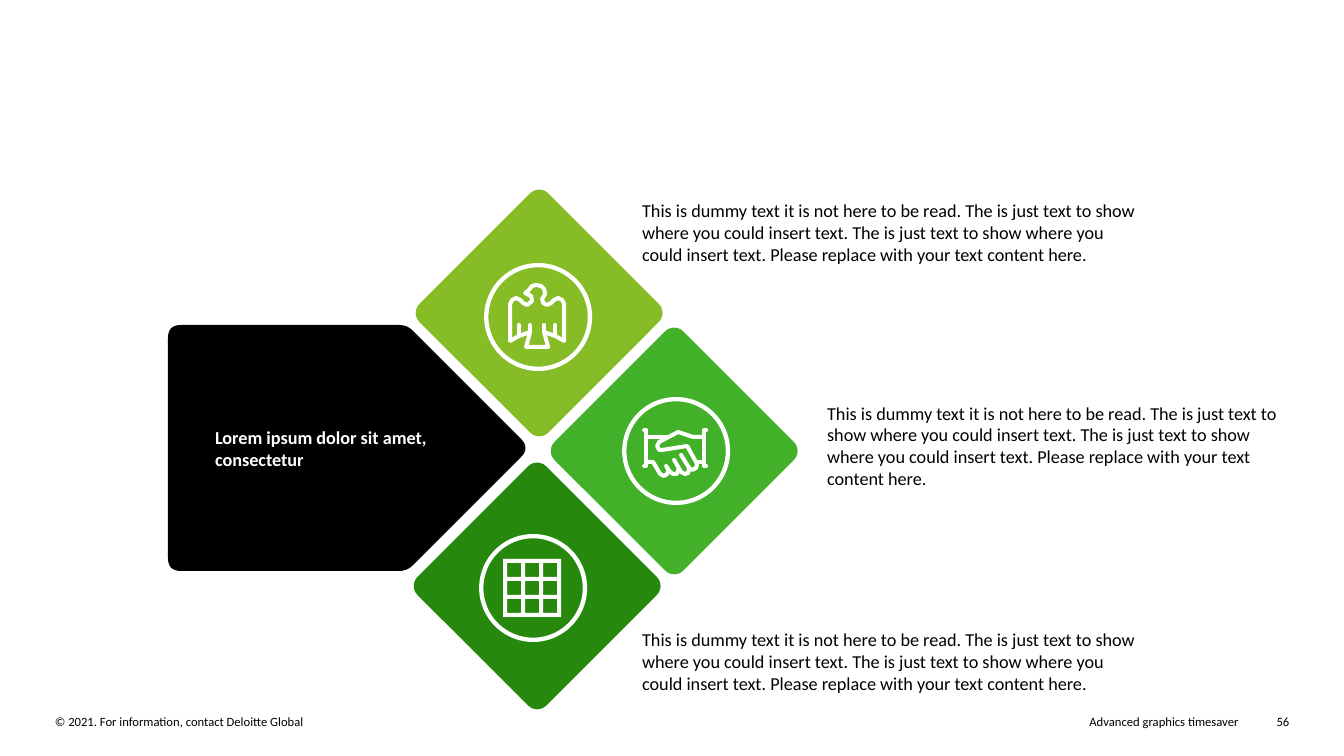
from math import hypot

from lxml import etree
from pptx import Presentation
from pptx.dml.color import RGBColor
from pptx.enum.shapes import MSO_SHAPE
from pptx.enum.text import MSO_ANCHOR, MSO_AUTO_SIZE, PP_ALIGN
from pptx.oxml.ns import qn
from pptx.util import Emu, Inches, Pt

ROUNDED, DONUT = MSO_SHAPE.ROUNDED_RECTANGLE, MSO_SHAPE.DONUT
LEFT, RIGHT = PP_ALIGN.LEFT, PP_ALIGN.RIGHT
TOP, MIDDLE = MSO_ANCHOR.TOP, MSO_ANCHOR.MIDDLE
GROW = MSO_AUTO_SIZE.SHAPE_TO_FIT_TEXT

PX = 914400 / 100.8
FINE = 10  # freeform units per px
WHITE, BLACK = "FFFFFF", "000000"
LIME, DARK_GREEN, GREEN = "86BC25", "26890D", "43B02A"

BODY = ("This is dummy text it is not here to be read. The is just text to show "
        "where you could insert text. The is just text to show where you could "
        "insert text. Please replace with your text content here.")

# Icon strokes, in px from the icon's own corner
EAGLE = [
    [(8, 15), (4, 17), (2, 21), (2, 58), (11, 53), (22, 49), (18, 64), (40, 64),
     (36, 49), (47, 53), (56, 58), (56, 21), (54, 17), (50, 15), (46, 17), (43, 20),
     (39, 22), (35, 20), (34, 16), (37, 11), (36, 6), (33, 3), (28, 2), (24, 3),
     (20, 8), (17, 10), (23, 13), (24, 18), (19, 22), (15, 20), (12, 17), (8, 15)],
    *([(x, 42), (x, bottom)] for x, bottom in ((11, 53), (22, 49), (36, 49), (47, 53))),
]
HANDSHAKE = [
    [(2, 2), (4, 2), (4, 38), (2, 38)],
    [(64, 2), (62, 2), (62, 38), (64, 38)],
    [(4, 9), (26, 9)],
    [(62, 9), (51, 9), (36, 4), (17, 14), (15, 18), (17, 22), (20, 22), (45, 18),
     (55, 36), (54, 40), (50, 42), (47, 40), (39, 27)],
    [(47, 40), (46, 45), (43, 46), (39, 44), (32, 32)],
    [(36, 42), (35, 46), (31, 46), (28, 44), (24, 38)],
    [(26, 43), (25, 46), (22, 48), (18, 46), (11, 34), (4, 34)],
    [(62, 34), (56, 34)],
]


def emu(length):
    return Emu(round(length * PX))


def rgb(colour):
    return RGBColor.from_string(colour)


def square(left, top, side):
    right, bottom = left + side, top + side
    return [(left, top), (right, top), (right, bottom), (left, bottom)]


def round_corners(corners, steps=8):
    """Replace each (x, y, cut) corner by a curve that starts cut px before it."""
    points = []
    for index, (x, y, cut) in enumerate(corners):
        ends = []
        for other in (corners[index - 1], corners[(index + 1) % len(corners)]):
            share = cut / hypot(other[0] - x, other[1] - y)
            ends.append((x + (other[0] - x) * share, y + (other[1] - y) * share))
        (x1, y1), (x2, y2) = ends
        for step in range(steps + 1):
            t = step / steps
            a, b, c = (1 - t) ** 2, 2 * t * (1 - t), t ** 2
            points.append((a * x1 + b * x + c * x2, a * y1 + b * y + c * y2))
    return points


class SlideBuilder:
    font = "Calibri"

    def __init__(self, slide):
        self.shapes = slide.shapes

    def text(self, box, text, size=13, colour=BLACK, bold=False, align=LEFT, anchor=MIDDLE):
        frame = self.shapes.add_textbox(*map(emu, box)).text_frame
        frame.margin_left = frame.margin_right = frame.margin_top = frame.margin_bottom = 0
        frame.word_wrap = True
        frame.auto_size = GROW
        frame.vertical_anchor = anchor
        frame.text = text
        paragraph = frame.paragraphs[0]
        paragraph.alignment = align
        font = paragraph.runs[0].font
        font.name, font.size, font.bold = self.font, Pt(size), bold
        font.color.rgb = rgb(colour)

    def fill(self, shape, colour):
        shape.shadow.inherit = False
        shape.fill.solid()
        shape.fill.fore_color.rgb = rgb(colour)
        shape.line.fill.background()

    def preset(self, kind, left, top, side, colour, adjustment, rotation=0):
        shape = self.shapes.add_shape(kind, emu(left), emu(top), emu(side), emu(side))
        shape.adjustments[0] = adjustment
        shape.rotation = rotation
        self.fill(shape, colour)

    def freeform(self, origin, paths, closed):
        builder = None
        for path in paths:
            start, *rest = [(x * FINE, y * FINE) for x, y in path]
            if builder is None:
                builder = self.shapes.build_freeform(*start, scale=PX / FINE)
            else:
                builder.move_to(*start)
            builder.add_line_segments(rest, close=closed)
        return builder.convert_to_shape(*map(emu, origin))

    def area(self, origin, paths, colour):
        self.fill(self.freeform(origin, paths, True), colour)

    def strokes(self, origin, paths, colour):
        shape = self.freeform(origin, paths, False)
        shape.shadow.inherit = False
        shape.fill.background()
        shape.line.color.rgb = rgb(colour)
        shape.line.width = emu(4)
        line = shape.line._get_or_add_ln()
        line.set("cap", "rnd")
        etree.SubElement(line, qn("a:round"))


def main():
    presentation = Presentation()
    presentation.slide_width, presentation.slide_height = Inches(13.33), Inches(7.5)
    builder = SlideBuilder(presentation.slides.add_slide(presentation.slide_layouts[6]))

    # Footer
    for left, width, text, align in (
        (55, 591, "© 2021. For information, contact Deloitte Global", LEFT),
        (699, 539, "Advanced graphics timesaver", RIGHT),
        (1255, 34, "56", RIGHT),
    ):
        builder.text((left, 714, width, 15), text, size=9, align=align, anchor=TOP)

    # Diamonds
    for left, top, colour in ((448, 222, LIME), (446, 495, DARK_GREEN), (583, 360, GREEN)):
        builder.preset(ROUNDED, left, top, 182, colour, 0.07, rotation=45)

    # Black arrow panel
    panel = [(168, 325, 13), (407, 325, 8), (530, 448, 13), (407, 571, 8), (168, 571, 13)]
    builder.area((0, 0), [round_corners(panel)], BLACK)

    # Texts
    builder.text((215, 426, 217, 44), "Lorem ipsum dolor sit amet, consectetur",
                 colour=WHITE, bold=True)
    for box in ((642, 199, 495, 66), (827, 401, 452, 89), (642, 628, 495, 66)):
        builder.text(box, BODY)

    # Icons in rings
    for left, top in ((484, 263), (479, 534), (622, 397)):
        builder.preset(DONUT, left, top, 108, WHITE, 0.04)
    builder.strokes((508, 283), EAGLE, WHITE)
    builder.strokes((642, 428), HANDSHAKE, WHITE)
    cells = [square(4 + 18 * column, 4 + 18 * row, 14)
             for row in range(3) for column in range(3)]
    builder.area((503, 559), [square(0, 0, 58), *(cell[::-1] for cell in cells)], WHITE)

    presentation.save("out.pptx")


if __name__ == "__main__":
    main()
